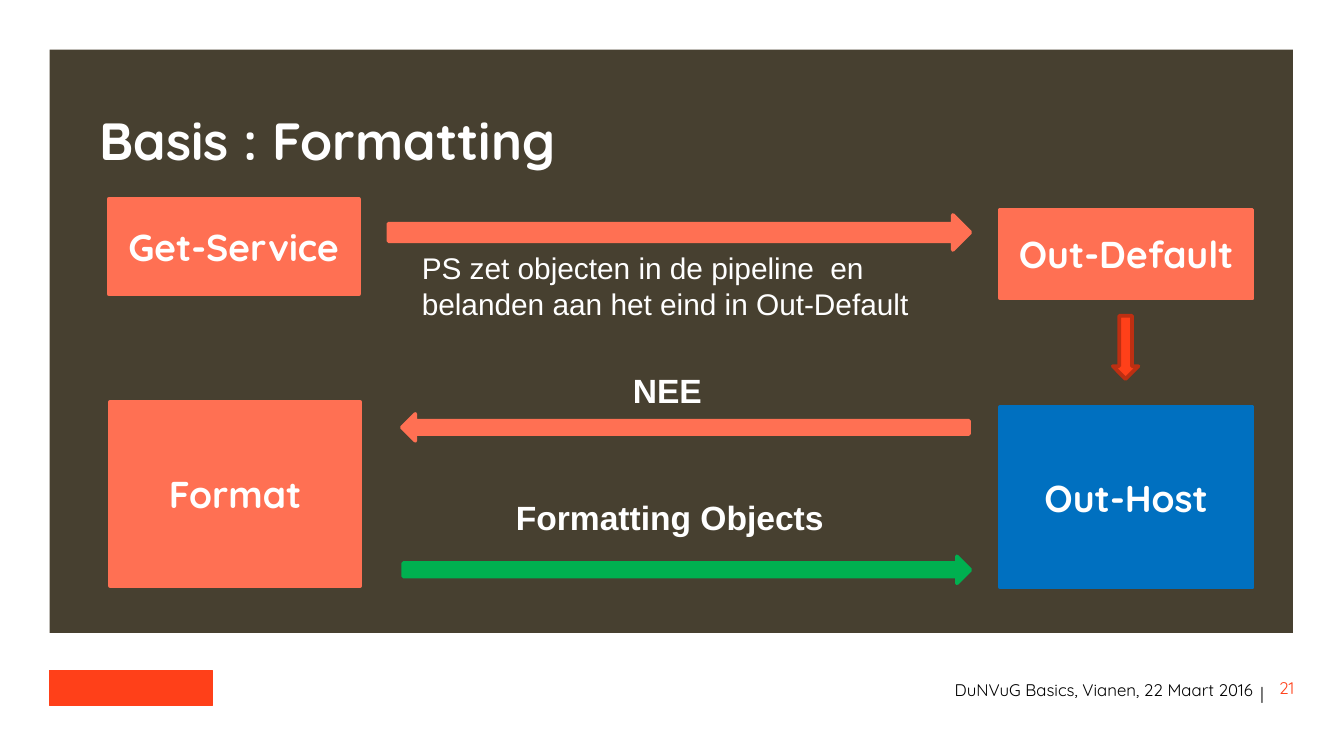
import pptx
import pptx.dml.color
import pptx.enum.shapes
import pptx.enum.text
import pptx.util

Inches = pptx.util.Inches
SHAPE = pptx.enum.shapes.MSO_SHAPE
ALIGN = pptx.enum.text.PP_ALIGN
ANCHOR = pptx.enum.text.MSO_ANCHOR
AUTO_SIZE = pptx.enum.text.MSO_AUTO_SIZE

CORAL, ORANGE, DARK_ORANGE = "FF7053", "FF4019", "BD2F12"
BLUE, GREEN, BROWN = "0070C0", "00B050", "474030"
WHITE, BLACK = "FFFFFF", "000000"


def color(hex_string):
    """Turn a hex string into a colour."""
    return pptx.dml.color.RGBColor.from_string(hex_string)


def write(text_frame, text, size, font_name, font_color, bold=False, align=ALIGN.LEFT, spacing=None):
    """Write one formatted paragraph into a text frame."""
    paragraph = text_frame.paragraphs[0]
    paragraph.alignment = align
    if spacing:
        paragraph.line_spacing = pptx.util.Pt(spacing)
    run = paragraph.add_run()
    run.text = text
    run.font.size = pptx.util.Pt(size)
    run.font.name = font_name
    run.font.bold = bold
    run.font.color.rgb = color(font_color)


def remove_margins(text_frame):
    """Set all four insets of a text frame to zero."""
    text_frame.margin_left = text_frame.margin_right = 0
    text_frame.margin_top = text_frame.margin_bottom = 0


def add_block(slide, kind, box, fill, line=None, width=2):
    """Add a filled preset shape, with an outline if a line colour is given."""
    shape = slide.shapes.add_shape(kind, *map(Inches, box))
    shape.shadow.inherit = False
    shape.fill.solid()
    shape.fill.fore_color.rgb = color(fill)
    if line:
        shape.line.color.rgb = color(line)
        shape.line.width = pptx.util.Pt(width)
    else:
        shape.line.fill.background()
    return shape


def add_title(slide, box, text):
    """Place the title placeholder in front of the panel."""
    title = slide.shapes.title
    title.left, title.top, title.width, title.height = map(Inches, box)
    slide.shapes._spTree.append(title._element)
    frame = title.text_frame
    remove_margins(frame)
    frame.auto_size = AUTO_SIZE.NONE
    frame.vertical_anchor = ANCHOR.TOP
    write(frame, text, 28, "Quicksand", WHITE, bold=True, spacing=50)


def add_diagram(slide, box):
    """Draw the command boxes, the arrows and their captions."""
    left, top, width, height = box

    def inside(x, y, w, h):
        """Shift a box from diagram to slide coordinates."""
        return left + x, top + y, w, h

    left_width, right_width = 1.86, 1.88
    right = width - right_width
    commands = [
        ("Get-Service", (0, 0, left_width, 0.71), CORAL),
        ("Out-Default", (right, 0.08, right_width, 0.66), CORAL),
        ("Out-Host", (right, 1.55, right_width, 1.34), BLUE),
        ("Format", (0.01, 1.51, left_width, 1.37), CORAL),
    ]
    for text, place, fill in commands:
        shape = add_block(slide, SHAPE.RECTANGLE, inside(*place), fill, fill)
        shape.text_frame.vertical_anchor = ANCHOR.MIDDLE
        write(shape.text_frame, text, 20, "Quicksand", WHITE, bold=True, align=ALIGN.CENTER)

    arrows = [
        (SHAPE.RIGHT_ARROW, (2.08, 0.12, 4.33, 0.26), CORAL, CORAL, 0),
        (SHAPE.DOWN_ARROW, (7.47, 0.87, 0.19, 0.47), ORANGE, DARK_ORANGE, 0),
        (SHAPE.RIGHT_ARROW, (2.18, 1.6, 4.22, 0.2), CORAL, CORAL, 180),
        (SHAPE.RIGHT_ARROW, (2.19, 2.66, 4.22, 0.2), GREEN, GREEN, 0),
    ]
    for kind, place, fill, line, rotation in arrows:
        add_block(slide, kind, inside(*place), fill, line).rotation = rotation

    captions = [
        ("PS zet objecten in de pipeline  en belanden aan het eind in Out-Default",
         (2.23, 0.33, 3.86, 0.64), 16, False, True),
        ("Formatting Objects", (2.93, 2.17, 2.71, 0.4), 18, True, True),
        ("NEE", (3.8, 1.22, 0.72, 0.4), 18, True, False),
    ]
    for text, place, size, bold, wrap in captions:
        frame = slide.shapes.add_textbox(*map(Inches, inside(*place))).text_frame
        frame.word_wrap = wrap
        frame.auto_size = AUTO_SIZE.SHAPE_TO_FIT_TEXT
        write(frame, text, size, "Arial", WHITE, bold=bold)


def add_footer(slide, box):
    """Draw the emblem block, the event line and the page number."""
    left, top, width, height = box
    add_block(slide, SHAPE.RECTANGLE, (left, top, 1.21, height), ORANGE, ORANGE, 0.5)
    labels = [
        ("DuNVuG Basics, Vianen, 22 Maart 2016", 1.71, 0.07, 7.24, BLACK, ALIGN.RIGHT, None),
        ("|", 8.93, 0.05, 0.18, BLACK, ALIGN.CENTER, 14),
        ("21", 9.02, 0.05, 0.24, ORANGE, ALIGN.RIGHT, None),
    ]
    for text, x, y, w, font_color, align, spacing in labels:
        place = map(Inches, (left + x, top + y, w, 0.21))
        frame = slide.shapes.add_textbox(*place).text_frame
        frame.word_wrap = True
        remove_margins(frame)
        write(frame, text, 9, "Quicksand", font_color, align=align, spacing=spacing)


def main():
    """Build the slide and save it."""
    presentation = pptx.Presentation()
    presentation.slide_width = Inches(10)
    presentation.slide_height = Inches(10) * 9 // 16
    slide = presentation.slides.add_slide(presentation.slide_layouts[5])
    add_block(slide, SHAPE.RECTANGLE, (0.37, 0.37, 9.25, 4.34), BROWN)
    add_title(slide, (0.74, 0.58, 8.57, 0.63), "Basis : Formatting")
    add_diagram(slide, (0.81, 1.48, 8.51, 2.89))
    add_footer(slide, (0.37, 4.99, 9.25, 0.26))
    presentation.save("out.pptx")


if __name__ == "__main__":
    main()
